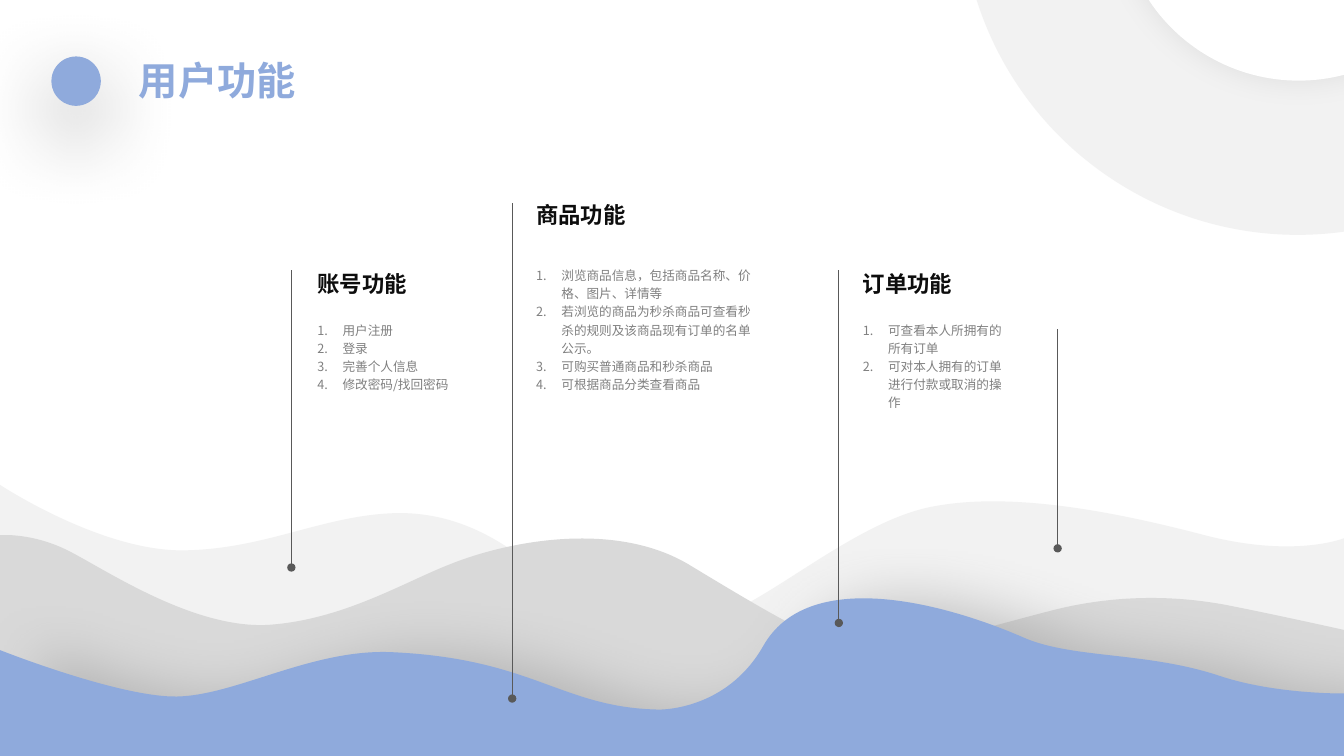
from dataclasses import dataclass
from itertools import chain

from lxml.etree import SubElement
from pptx import Presentation
from pptx.dml.color import RGBColor
from pptx.enum.shapes import MSO_CONNECTOR, MSO_SHAPE
from pptx.enum.text import MSO_AUTO_SIZE
from pptx.oxml.ns import qn
from pptx.util import Inches, Pt


@dataclass(frozen=True)
class Theme:
    font: str = "Noto Sans CJK SC"
    blue: str = "8FAADC"
    pale: str = "F2F2F2"
    grey: str = "D9D9D9"
    white: str = "FFFFFF"
    ink: str = "0D0D0D"
    body: str = "808080"
    stem: str = "595959"
    title_size: float = 28
    heading_size: float = 16
    body_size: float = 9
    stem_width: float = 0.5


THEME = Theme()
WIDTH, HEIGHT = 13.33, 7.5
TITLE = {"size": Pt(THEME.title_size), "bold": True, "color": THEME.blue}
HEADING = {"size": Pt(THEME.heading_size), "bold": True, "color": THEME.ink}
BODY = {"size": Pt(THEME.body_size), "bold": False, "color": THEME.body}

WAVES = [
    (THEME.pale, None, (0, 4.81), [
        (0, 4.81, 1, 5.47, 1.82, 5.46),
        (2.65, 5.45, 3.22, 5.1, 3.96, 5.09),
        (4.7, 5.09, 5.15, 5.53, 5.34, 5.64),
        (5.52, 5.76, 6.49, 6.26, 7.02, 6.15),
        (7.55, 6.04, 8.44, 5.19, 9.23, 5.03),
        (10.02, 4.87, 11.07, 5.08, 11.95, 5.31),
        (12.84, 5.54, WIDTH, 5.34, WIDTH, 5.34),
    ]),
    (THEME.grey, None, (0, 5.31), [
        (0, 5.31, 0.32, 5.28, 0.69, 5.47),
        (1.06, 5.66, 1.92, 6.24, 2.66, 6.2),
        (3.4, 6.15, 4, 5.78, 4.46, 5.6),
        (5.03, 5.37, 6.09, 5.16, 6.83, 5.6),
        (7.64, 6.09, 8.15, 6.39, 8.42, 6.41),
        (9.06, 6.47, 9.74, 6.23, 10.5, 6.04),
        (11.26, 5.86, 11.87, 5.95, 12.15, 6),
        (12.66, 6.1, WIDTH, 6.25, WIDTH, 6.25),
    ]),
    (THEME.blue, ("808080", 40, 40, 30, 0), (0, 6.45), [
        (0, 6.45, 1.11, 6.89, 1.7, 6.91),
        (2.29, 6.93, 3.06, 6.44, 3.87, 6.47),
        (5.29, 6.53, 5.56, 7.02, 6.53, 7.04),
        (6.53, 7.04, 7.2, 7.06, 7.57, 6.41),
        (8.01, 5.63, 9.33, 5.97, 10.14, 6.32),
        (10.63, 6.54, 11.37, 6.46, 12.11, 6.71),
        (12.66, 6.89, WIDTH, 6.88, WIDTH, 6.88),
    ]),
]

STEMS = [(8.32, 2.68, 6.18), (10.49, 3.26, 5.44), (2.89, 2.68, 5.63), (5.08, 2.01, 6.93)]

COLUMNS = [
    ((3.05, 2.58, 1.69, 1.37), 0.54, "账号功能",
     ["用户注册", "登录", "完善个人信息", "修改密码/找回密码"]),
    ((5.22, 1.89, 2.34, 2.06), 0.69, "商品功能",
     ["浏览商品信息，包括商品名称、价格、图片、详情等",
      "若浏览的商品为秒杀商品可查看秒杀的规则及该商品现有订单的名单公示。",
      "可购买普通商品和秒杀商品", "可根据商品分类查看商品"]),
    ((8.46, 2.58, 1.69, 1.55), 0.54, "订单功能",
     ["可查看本人所拥有的所有订单", "可对本人拥有的订单进行付款或取消的操作"]),
]


def paint(sp, color, shadow=None):
    sp.fill.solid()
    sp.fill.fore_color.rgb = RGBColor.from_string(color)
    sp.line.fill.background()
    sp.shadow.inherit = False
    if shadow:
        tint, alpha, blur, dist, angle = shadow
        effects = sp._element.spPr.find(qn("a:effectLst"))
        outer = SubElement(effects, qn("a:outerShdw"), blurRad=str(Pt(blur)),
                           dist=str(Pt(dist)), dir=str(angle * 60000),
                           algn="ctr", rotWithShape="0")
        clr = SubElement(outer, qn("a:srgbClr"), val=tint)
        SubElement(clr, qn("a:alpha"), val=str(alpha * 1000))


def add_disc(s, left, top, size, color, shadow=None):
    sp = s.shapes.add_shape(MSO_SHAPE.OVAL, *map(Inches, (left, top, size, size)))
    paint(sp, color, shadow)


def add_text(s, box, lines, style, wrap=True, spacing=None, numbered=False):
    tf = s.shapes.add_textbox(*map(Inches, box)).text_frame
    tf.word_wrap = wrap
    tf.auto_size = MSO_AUTO_SIZE.SHAPE_TO_FIT_TEXT
    for i, line in enumerate(lines):
        p = tf.add_paragraph() if i else tf.paragraphs[0]
        if spacing:
            p.line_spacing = spacing
        if numbered:
            pPr = p._p.get_or_add_pPr()
            pPr.set("marL", str(Inches(0.25)))
            pPr.set("indent", str(-Inches(0.25)))
            SubElement(pPr, qn("a:buFont"), typeface="+mj-lt")
            SubElement(pPr, qn("a:buAutoNum"), type="arabicPeriod")
        r = p.add_run()
        r.text = line
        for name, value in style.items():
            if name == "color":
                r.font.color.rgb = RGBColor.from_string(value)
            else:
                setattr(r.font, name, value)
        r.font.name = THEME.font
        SubElement(r._r.get_or_add_rPr(), qn("a:ea"), typeface=THEME.font)


def add_corner_ring(s, left, top, size):
    hole = 3.56
    add_disc(s, left, top, size, THEME.pale)
    add_disc(s, left + 1.57, top + 1.59, hole, THEME.white, ("000000", 7, 22, 0, 0))


def add_title(s, left, top, width, height, text):
    add_disc(s, left, top + 0.05, 0.49, THEME.blue, ("000000", 40, 60, 20, 90))
    add_text(s, (left + 0.77, top, width - 0.77, height), [text], TITLE)


def add_wave(s, color, shadow, start, curves):
    sides = [(WIDTH, HEIGHT) * 3, (0, HEIGHT) * 3]
    flat = list(chain.from_iterable(curves + sides))
    points = [(Inches(x), Inches(y)) for x, y in zip(flat[::2], flat[1::2])]
    builder = s.shapes.build_freeform(*map(Inches, start), scale=1.0)
    builder.add_line_segments(points, close=True)
    sp = builder.convert_to_shape()
    outline = sp._element.spPr.find(".//" + qn("a:path"))
    segments = outline.findall(qn("a:lnTo"))[:len(points)]
    for i in range(0, len(segments), 3):
        curve = segments[i].makeelement(qn("a:cubicBezTo"))
        segments[i].addprevious(curve)
        for segment in segments[i:i + 3]:
            curve.append(segment[0])
            outline.remove(segment)
    paint(sp, color, shadow)


def add_stem(s, x, top, bottom):
    stem = s.shapes.add_connector(MSO_CONNECTOR.STRAIGHT, *map(Inches, (x, bottom, x, top)))
    stem.line.color.rgb = RGBColor.from_string(THEME.stem)
    stem.line.width = Pt(THEME.stem_width)
    SubElement(stem.line._get_or_add_ln(), qn("a:headEnd"), type="oval")
    SubElement(stem._element.spPr, qn("a:effectLst"))


def add_column(s, box, drop, heading, items):
    left, top, width, height = box
    add_text(s, (left, top, 1.09, 0.42), [heading], HEADING, wrap=False, spacing=1.2)
    add_text(s, (left, top + drop, width, height - drop), items, BODY,
             spacing=1.2, numbered=True)


def main():
    prs = Presentation()
    prs.slide_width, prs.slide_height = Inches(WIDTH), Inches(HEIGHT)
    s = prs.slides.add_slide(prs.slide_layouts[6])
    add_corner_ring(s, 9.53, -4.35, 6.68)
    add_title(s, 0.51, 0.51, 4.72, 0.57, "用户功能")
    for wave in WAVES:
        add_wave(s, *wave)
    for stem in STEMS:
        add_stem(s, *stem)
    for column in COLUMNS:
        add_column(s, *column)
    prs.save("out.pptx")


if __name__ == "__main__":
    main()
